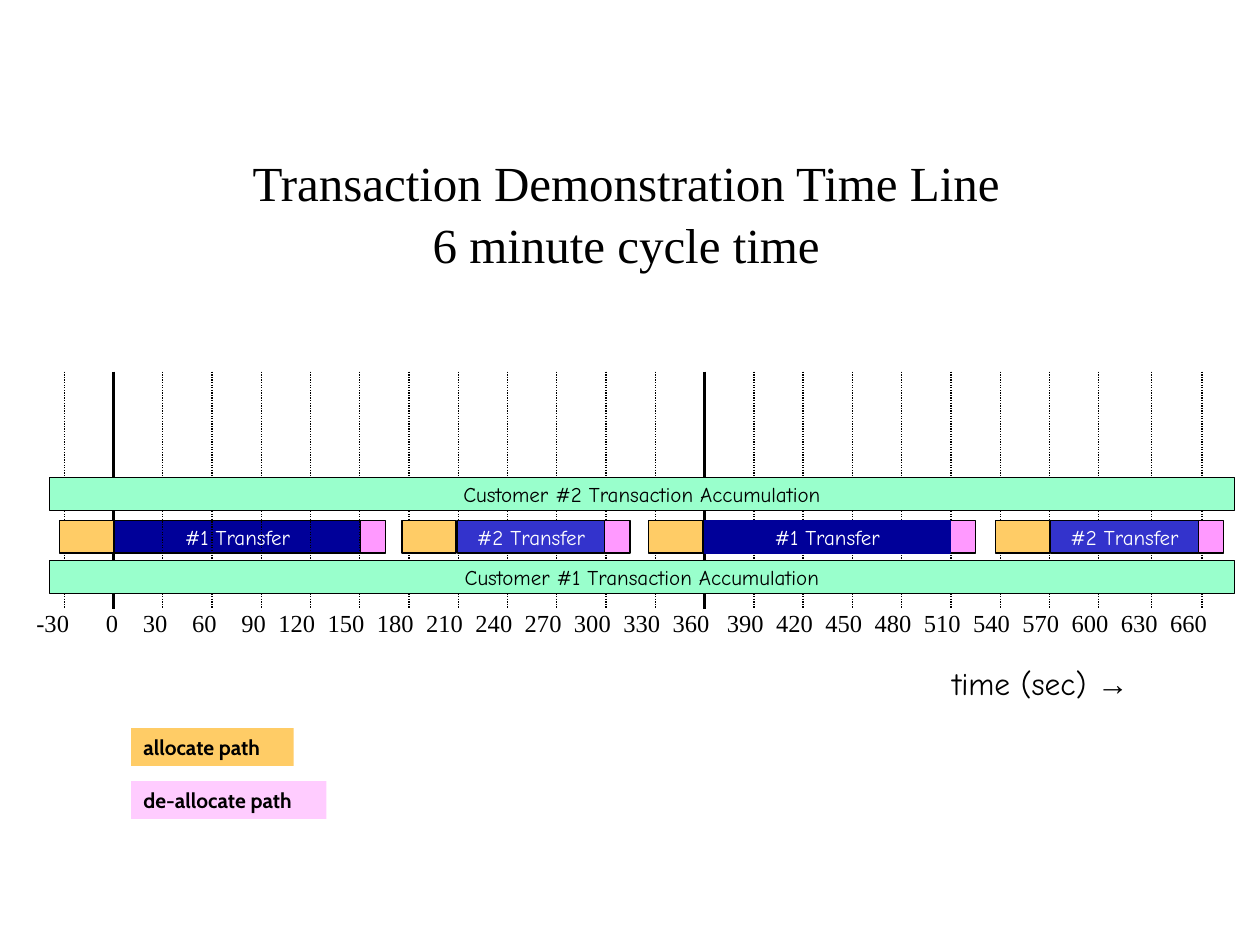
from lxml import etree
from pptx import Presentation
from pptx import util as u
from pptx.dml.color import RGBColor
from pptx.enum import dml, shapes, text
from pptx.oxml.ns import qn

COLORS = {
    "black": "000000", "white": "FFFFFF", "allocate": "FFCC66",
    "deallocate": "FF99FF", "deallocate_key": "FFCCFF",
    "customer": "99FFCC", "first": "000099", "second": "3333CC",
}

deck = Presentation()
deck.slide_width, deck.slide_height = u.Inches(10), u.Inches(7.5)
slide = deck.slides.add_slide(deck.slide_layouts[5])


def write(frame, words, font, size, color="black", align=text.PP_ALIGN.LEFT, bold=False):
    frame.text = words
    frame.word_wrap = False
    line = frame.paragraphs[0]
    line.alignment = align
    line.font.name, line.font.size, line.font.bold = font, u.Pt(size), bold
    line.font.color.rgb = RGBColor.from_string(COLORS[color])
    return line


def bar(left, top, width, height, fill, outline="black"):
    box = slide.shapes.add_shape(
        shapes.MSO_SHAPE.RECTANGLE, *map(u.Inches, (left, top, width, height)))
    box.shadow.inherit = False
    box.fill.solid()
    box.fill.fore_color.rgb = RGBColor.from_string(COLORS[fill])
    if outline:
        box.line.color.rgb = RGBColor.from_string(COLORS[outline])
        box.line.width = u.Pt(0.75)
    else:
        box.line.fill.background()
    return box.text_frame


heading = slide.shapes.title
heading.left, heading.top, heading.width, heading.height = map(u.Inches, (0.47, 1.14, 9, 0.57))
heading.text_frame.vertical_anchor = text.MSO_ANCHOR.TOP
heading.text_frame.auto_size = text.MSO_AUTO_SIZE.NONE
heading_line = write(heading.text_frame, "Transaction Demonstration Time Line\v6 minute cycle time",
                     "Times New Roman", 28, align=text.PP_ALIGN.CENTER)
heading_line.line_spacing = 1.05
heading.text_frame.word_wrap = True

band_left, band_width, bar_height = 0.39, 9.41, 0.26
customer_2_top, transfer_top, customer_1_top = 3.79, 4.13, 4.45
allocate_width, deallocate_width, gap = 0.43, 0.2, 0.01
first_tick = 0.51
step = (8.72 - first_tick) / 21
ticks = [first_tick + step * i for i in range(22)] + [9.14, 9.54]
cycle_starts = (1, 13)

transfers = [
    (0.47, 1.95, "first", "black", "#1 Transfer"),
    (5.15, 1.95, "first", "first", "#1 Transfer"),
    (3.19, 1.17, "second", "black", "#2 Transfer"),
    (7.90, 1.17, "second", "black", "#2 Transfer"),
]
customers = [(customer_1_top, "Customer #1 Transaction Accumulation"),
             (customer_2_top, "Customer #2 Transaction Accumulation")]

layers = [("tick", i) for i in (0, 1)]
layers += [("transfer", transfers[0])]
layers += [("tick", i) for i in range(2, len(ticks))]
layers += [("customer", row) for row in customers]
layers += [("transfer", row) for row in transfers[1:]]

for layer, item in layers:
    if layer == "tick":
        x = u.Inches(ticks[item])
        tick = slide.shapes.add_connector(
            shapes.MSO_CONNECTOR.STRAIGHT, x, u.Inches(2.95), x, u.Inches(4.83))
        tick.line.color.rgb = RGBColor.from_string(COLORS["black"])
        tick.line.width = u.Pt(1.5 if item in cycle_starts else 0.75)
        if item not in cycle_starts:
            tick.line.dash_style = dml.MSO_LINE.ROUND_DOT
        etree.SubElement(tick._element.spPr, qn("a:effectLst"))
    elif layer == "customer":
        top, label = item
        band = bar(band_left, top, band_width, bar_height, "customer")
        write(band, label, "Comic Neue", 12, align=text.PP_ALIGN.CENTER)
    else:
        left, width, fill, outline, label = item
        start = left + allocate_width + gap
        bar(left, transfer_top, allocate_width, bar_height, "allocate")
        bar(start + width, transfer_top, deallocate_width, bar_height, "deallocate")
        transfer = bar(start, transfer_top, width, bar_height, fill, outline)
        write(transfer, label, "Comic Neue", 12, "white", text.PP_ALIGN.CENTER)

seconds = slide.shapes.add_textbox(*map(u.Inches, (0.19, 4.78, 9.48, 0.34))).text_frame
seconds.margin_right = 0
scale = write(seconds, "\t".join(str(s) for s in range(-30, 661, 30)), "Times New Roman", 14)
seconds.word_wrap = True
stops = etree.Element(qn("a:tabLst"))
for i in range(23):
    stop = 0.65 + step * i + (0.04 if i > 12 else 0)
    etree.SubElement(stops, qn("a:tab"), pos=str(u.Inches(stop)), algn="r")
scale._p.get_or_add_pPr().insert(0, stops)

unit = slide.shapes.add_textbox(*map(u.Inches, (7.46, 5.22, 1.6, 0.4))).text_frame
unit_line = write(unit, "time (sec) ", "Comic Neue", 18)
arrow = unit_line.add_run()
arrow.text = "→"
arrow.font.name = "Arial"

for top, width, fill, label in [(5.78, 1.29, "allocate", "allocate path"),
                                (6.20, 1.55, "deallocate_key", "de-allocate path")]:
    key = bar(1.04, top, width, 0.3, fill, None)
    key.vertical_anchor = text.MSO_ANCHOR.TOP
    write(key, label, "Cabin", 12, bold=True)

deck.save("out.pptx")
